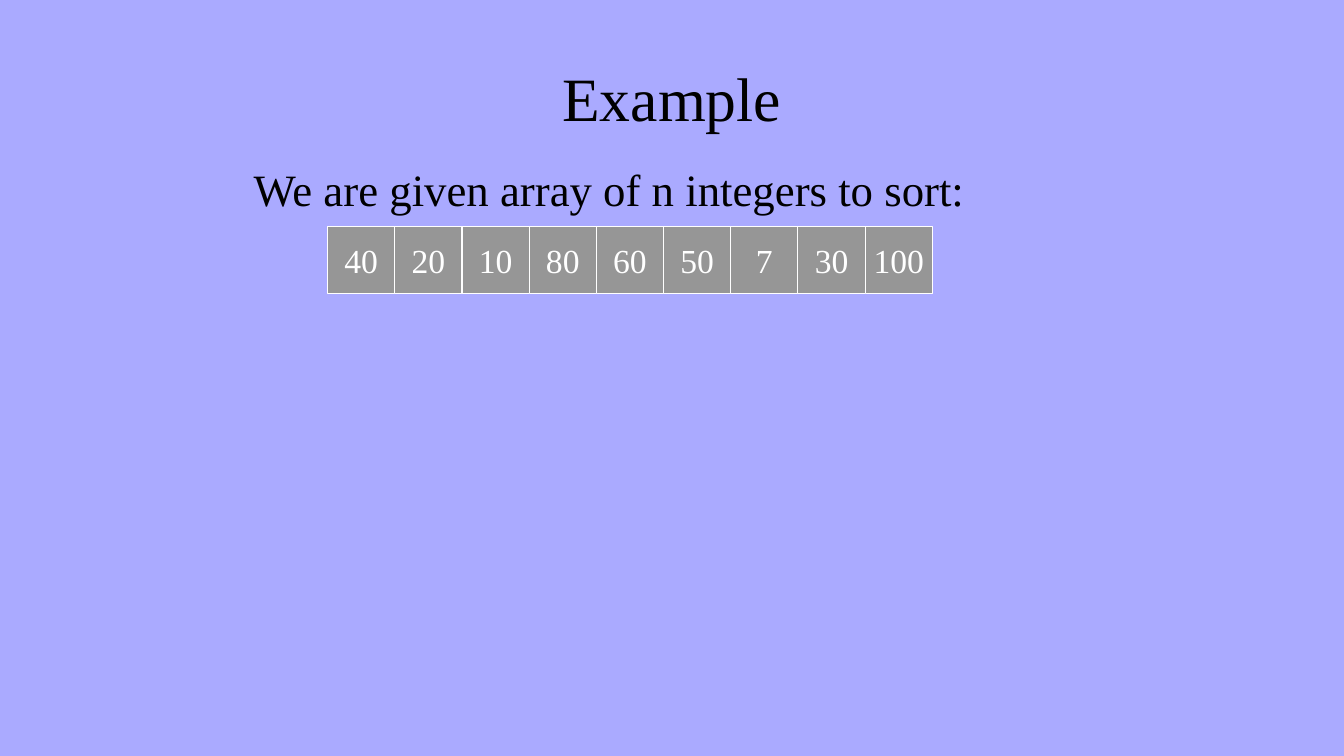
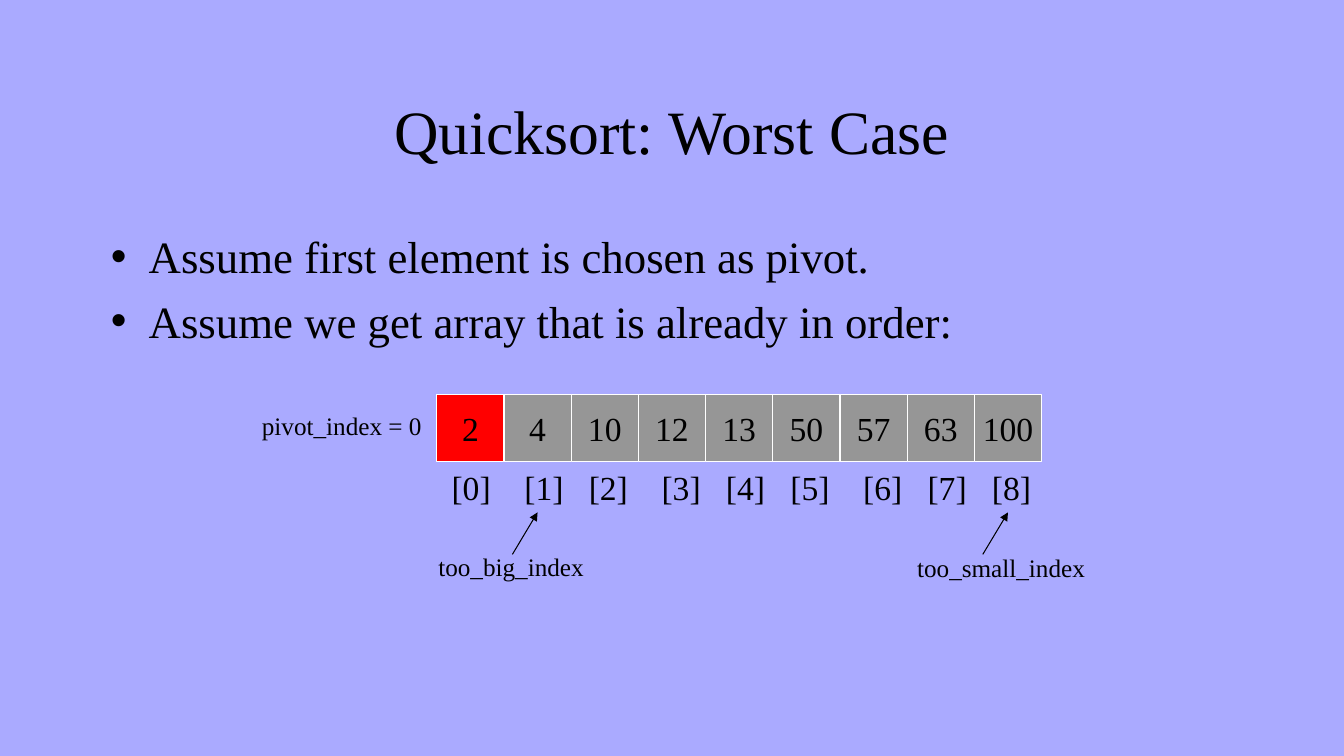
"""Build two slides on quicksort: an example array and the worst case."""
from itertools import accumulate

from lxml import etree
from pptx import Presentation
from pptx.dml.color import RGBColor
from pptx.enum.shapes import MSO_CONNECTOR, MSO_SHAPE
from pptx.enum.text import MSO_ANCHOR, MSO_AUTO_SIZE, PP_ALIGN
from pptx.oxml.ns import qn
from pptx.util import Pt

RECTANGLE, STRAIGHT = MSO_SHAPE.RECTANGLE, MSO_CONNECTOR.STRAIGHT
LEFT, CENTER = PP_ALIGN.LEFT, PP_ALIGN.CENTER
TOP, MIDDLE = MSO_ANCHOR.TOP, MSO_ANCHOR.MIDDLE
NO_AUTOFIT = MSO_AUTO_SIZE.NONE

FONT = "Times New Roman"
COLORS = {"background": "AAAAFF", "text": "000000", "cell": "969696",
          "pivot": "FF0000", "light": "FFFFFF"}
CELL = 48
HANGING = 27

SLIDES = [
    {
        "title": "Example", "title_box": (174, 24, 612, 90),
        "body": ["We are given array of n integers to sort:"],
        "body_box": (174, 112, 612, 324), "bullets": False,
        "values": [40, 20, 10, 80, 60, 50, 7, 30, 100],
        "row": (234, 162), "value_color": "light", "pivot": None,
        "labels": [], "pointers": [],
    },
    {
        "title": "Quicksort: Worst Case", "title_box": (72, 48, 816, 90),
        "body": ["Assume first element is chosen as pivot.",
                 "Assume we get array that is already in order:"],
        "body_box": (72, 160, 816, 324), "bullets": True,
        "values": [2, 4, 10, 12, 13, 50, 57, 63, 100],
        "row": (312, 282), "value_color": "text", "pivot": 0,
        "labels": [("pivot_index = 0", (180, 289.5, 129, 29)),
                   ("too_big_index", (306, 390, 228, 29)),
                   ("too_small_index", (648, 391, 168, 29))],
        "pointers": [8, 1],
    },
]
INDEX_BOX = (315.5, 330, 432, 36)
INDEX_GAPS = [52, 46, 52, 46, 46, 52, 46, 46]


def add_element(parent, tag, **attributes):
    """Append a drawing element with its attributes."""
    return etree.SubElement(parent, qn(tag), attributes)


def place(shape, box):
    """Move and size a shape in points."""
    shape.left, shape.top, shape.width, shape.height = map(Pt, box)


def write(shape, lines, size=18, color="text", align=LEFT, anchor=TOP,
          wrap=True, gap=0, bullets=None, tabs=()):
    """Fill a shape with formatted paragraphs."""
    frame = shape.text_frame
    frame.auto_size, frame.word_wrap = NO_AUTOFIT, wrap
    frame.vertical_anchor = anchor
    for number, line in enumerate(lines):
        paragraph = frame.add_paragraph() if number else frame.paragraphs[0]
        paragraph.alignment = align
        paragraph.space_before = Pt(gap if number else 0)
        properties = paragraph._p.get_or_add_pPr()
        if bullets is not None:
            properties.set("marL", str(Pt(HANGING)))
            properties.set("indent", str(-Pt(HANGING)))
            if bullets:
                add_element(properties, "a:buChar", char="•")
            else:
                add_element(properties, "a:buNone")
        if tabs:
            tab_list = add_element(properties, "a:tabLst")
            for position in tabs:
                add_element(tab_list, "a:tab", pos=str(Pt(position)), algn="l")
        run = paragraph.add_run()
        run.text = line
        run.font.name, run.font.size = FONT, Pt(size)
        run.font.color.rgb = RGBColor.from_string(COLORS[color])


def add_label(slide, text, box, **style):
    """Add a text box."""
    write(slide.shapes.add_textbox(*map(Pt, box)), [text], **style)


def add_array(slide, values, row, value_color, pivot):
    """Draw the array as a row of touching square cells."""
    left, top = row
    for index, value in enumerate(values):
        cell = slide.shapes.add_shape(
            RECTANGLE, Pt(left + index * CELL), Pt(top), Pt(CELL), Pt(CELL))
        cell.shadow.inherit = False
        cell.fill.solid()
        fill = "pivot" if index == pivot else "cell"
        cell.fill.fore_color.rgb = RGBColor.from_string(COLORS[fill])
        cell.line.color.rgb = RGBColor.from_string(COLORS["light"])
        cell.line.width = Pt(0.75)
        write(cell, [str(value)], size=24, color=value_color,
              align=CENTER, anchor=MIDDLE, wrap=False)


def add_pointer(slide, row, index):
    """Draw an arrow that points up to the index under a cell."""
    tip_x, tip_y = row[0] + (index + 0.5) * CELL, row[1] + 84
    arrow = slide.shapes.add_connector(
        STRAIGHT, Pt(tip_x - 18), Pt(tip_y + 30), Pt(tip_x), Pt(tip_y))
    arrow.line.color.rgb = RGBColor.from_string(COLORS["text"])
    arrow.line.width = Pt(0.75)
    add_element(arrow.line._get_or_add_ln(), "a:tailEnd", type="triangle")
    add_element(arrow._element.spPr, "a:effectLst")


def add_slide(presentation, content):
    """Build one slide from its content."""
    slide = presentation.slides.add_slide(presentation.slide_layouts[1])
    title, body = slide.shapes.title, slide.placeholders[1]
    place(title, content["title_box"])
    write(title, [content["title"]], size=44, align=CENTER, anchor=MIDDLE)
    place(body, content["body_box"])
    write(body, content["body"], size=32, gap=7.5, bullets=content["bullets"])
    add_array(slide, content["values"], content["row"],
              content["value_color"], content["pivot"])
    for text, box in content["labels"]:
        add_label(slide, text, box)
    if content["pointers"]:
        indexes = "\t".join(f"[{i}]" for i in range(len(content["values"])))
        add_label(slide, indexes, INDEX_BOX, size=24,
                  tabs=list(accumulate(INDEX_GAPS)))
    for index in content["pointers"]:
        add_pointer(slide, content["row"], index)


def main():
    """Create and save the presentation."""
    presentation = Presentation()
    presentation.slide_width, presentation.slide_height = Pt(960), Pt(540)
    background = presentation.slide_master.background.fill
    background.solid()
    background.fore_color.rgb = RGBColor.from_string(COLORS["background"])
    for content in SLIDES:
        add_slide(presentation, content)
    presentation.save("out.pptx")


if __name__ == "__main__":
    main()
